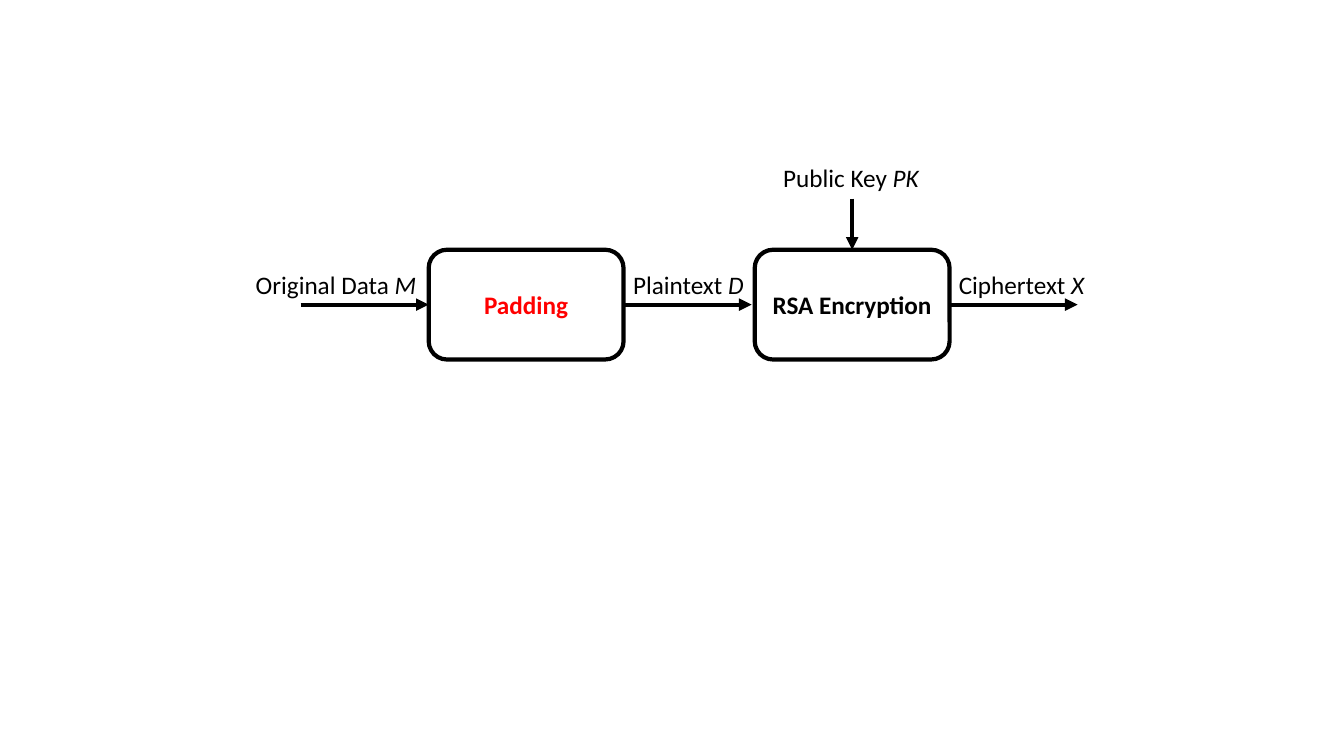
from dataclasses import dataclass
from typing import Optional

from pptx import Presentation
from pptx.dml.color import RGBColor
from pptx.enum.shapes import MSO_CONNECTOR as Connector, MSO_SHAPE as Preset
from pptx.enum.text import MSO_ANCHOR as Anchor, MSO_AUTO_SIZE as AutoSize, PP_ALIGN as Align
from pptx.oxml.ns import qn
from pptx.shapes.autoshape import Shape
from pptx.slide import Slide
from pptx.text.text import _Run as Run
from pptx.util import Pt
from lxml.etree import SubElement


@dataclass(frozen=True)
class Theme:
    font: str = "Calibri"
    size: float = 18
    stroke: float = 3
    ink: RGBColor = RGBColor(0, 0, 0)
    accent: RGBColor = RGBColor(255, 0, 0)
    paper: RGBColor = RGBColor(255, 255, 255)


@dataclass(frozen=True)
class Stage:
    name: str
    left: float
    color: RGBColor


@dataclass(frozen=True)
class Label:
    words: str
    symbol: str
    left: float
    top: float
    width: float


@dataclass(frozen=True)
class Arrow:
    start: tuple[float, float]
    end: tuple[float, float]
    source: Optional[Shape] = None
    target: Optional[Shape] = None
    target_side: int = 1


THEME = Theme()
TOP, RIGHT, LEFT = 0, 3, 1

# Layout, in points
STAGE_TOP, STAGE_WIDTH, STAGE_HEIGHT = 178.4, 139.2, 78.4
FLOW_Y = STAGE_TOP + STAGE_HEIGHT / 2
FLOW_LENGTH = 91.4
LABEL_TOP, LABEL_HEIGHT = 188.6, 29
PADDING_LEFT, ENCRYPTION_LEFT = 306.2, 539.1
KEY_X, KEY_TOP = ENCRYPTION_LEFT + STAGE_WIDTH / 2, 141.8

LABELS = [
    Label("Original Data ", "M", 175.6, LABEL_TOP, 130.5),
    Label("Plaintext ", "D", 445.1, LABEL_TOP, 94.4),
    Label("Public Key ", "PK", 552.4, 112.5, 112.2),
    Label("Ciphertext ", "X", 677.8, LABEL_TOP, 105),
]


def style_run(run: Run, color: RGBColor, bold: bool = False, italic: bool = False) -> None:
    run.font.name = THEME.font
    run.font.size = Pt(THEME.size)
    run.font.color.rgb = color
    run.font.bold = bold
    run.font.italic = italic


def draw_stage(slide: Slide, stage: Stage) -> Shape:
    box = slide.shapes.add_shape(Preset.ROUNDED_RECTANGLE, Pt(stage.left), Pt(STAGE_TOP),
                                 Pt(STAGE_WIDTH), Pt(STAGE_HEIGHT))
    box.shadow.inherit = False
    box.fill.solid()
    box.fill.fore_color.rgb = THEME.paper
    box.line.color.rgb = THEME.ink
    box.line.width = Pt(THEME.stroke)
    frame = box.text_frame
    frame.text = stage.name
    frame.vertical_anchor = Anchor.MIDDLE
    frame.paragraphs[0].alignment = Align.CENTER
    style_run(frame.paragraphs[0].runs[0], stage.color, bold=True)
    return box


def draw_label(slide: Slide, label: Label) -> None:
    frame = slide.shapes.add_textbox(Pt(label.left), Pt(label.top), Pt(label.width),
                                     Pt(LABEL_HEIGHT)).text_frame
    frame.word_wrap = False
    frame.auto_size = AutoSize.SHAPE_TO_FIT_TEXT
    caption = frame.paragraphs[0]
    caption.text = label.words
    style_run(caption.runs[0], THEME.ink)
    symbol = caption.add_run()
    symbol.text = label.symbol
    style_run(symbol, THEME.ink, italic=True)


def draw_arrow(slide: Slide, arrow: Arrow) -> None:
    line = slide.shapes.add_connector(Connector.STRAIGHT, *map(Pt, arrow.start + arrow.end))
    if arrow.source is not None:
        line.begin_connect(arrow.source, RIGHT)
    if arrow.target is not None:
        line.end_connect(arrow.target, arrow.target_side)
    line.line.color.rgb = THEME.ink
    line.line.width = Pt(THEME.stroke)
    # Arrowhead, and no inherited shadow
    properties = line._element.spPr
    SubElement(properties.find(qn("a:ln")), qn("a:tailEnd"), type="triangle")
    SubElement(properties, qn("a:effectLst"))


def flow_arrow(left: float, source: Optional[Shape] = None,
               target: Optional[Shape] = None) -> Arrow:
    return Arrow((left, FLOW_Y), (left + FLOW_LENGTH, FLOW_Y), source, target, LEFT)


def main() -> None:
    deck = Presentation()
    deck.slide_width, deck.slide_height = Pt(960), Pt(540)
    slide = deck.slides.add_slide(deck.slide_layouts[6])

    # Processing stages
    padding = draw_stage(slide, Stage("Padding", PADDING_LEFT, THEME.accent))
    encryption = draw_stage(slide, Stage("RSA Encryption", ENCRYPTION_LEFT, THEME.ink))

    # Data flow, left to right, and the key from above
    arrows = [
        flow_arrow(PADDING_LEFT - FLOW_LENGTH, target=padding),
        flow_arrow(PADDING_LEFT + STAGE_WIDTH, source=padding),
        flow_arrow(ENCRYPTION_LEFT + STAGE_WIDTH, source=encryption),
        Arrow((KEY_X, KEY_TOP), (KEY_X, STAGE_TOP), target=encryption, target_side=TOP),
    ]
    for arrow in arrows:
        draw_arrow(slide, arrow)

    # Names of the data on the arrows
    for label in LABELS:
        draw_label(slide, label)

    deck.save("out.pptx")


if __name__ == "__main__":
    main()
